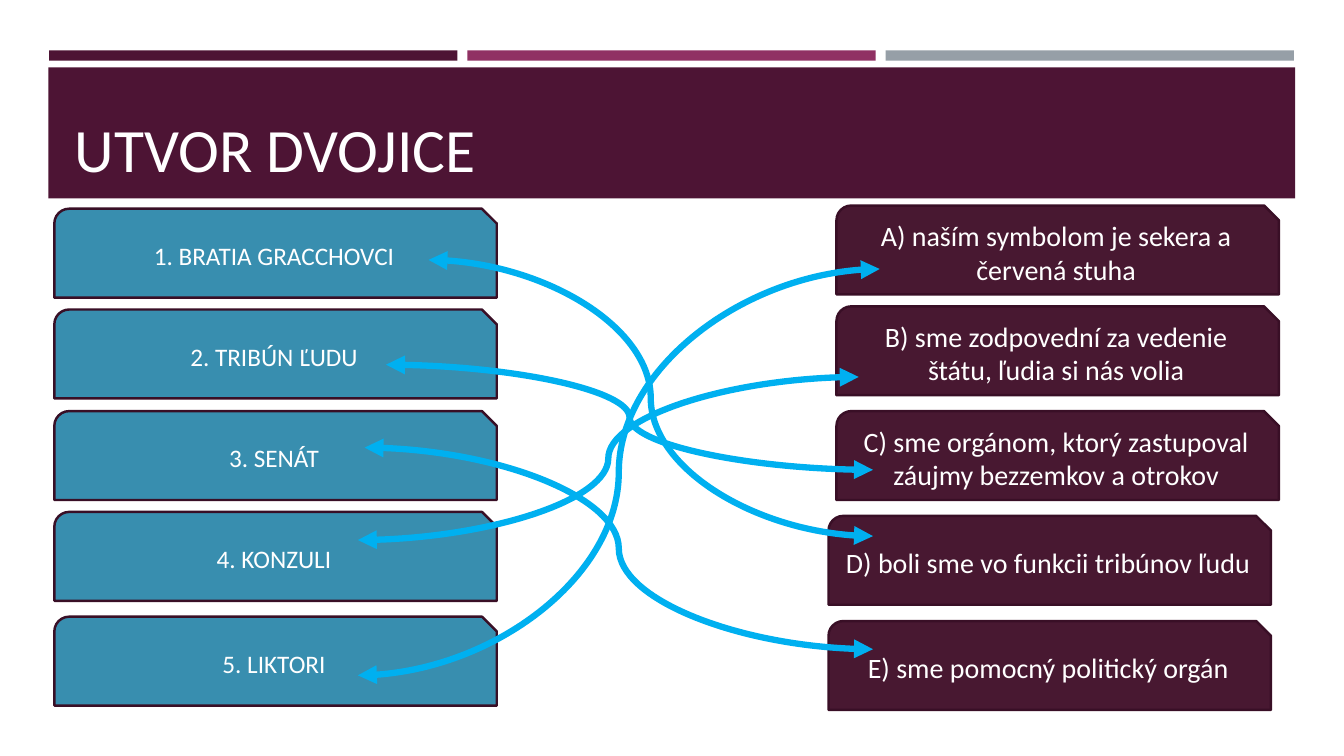
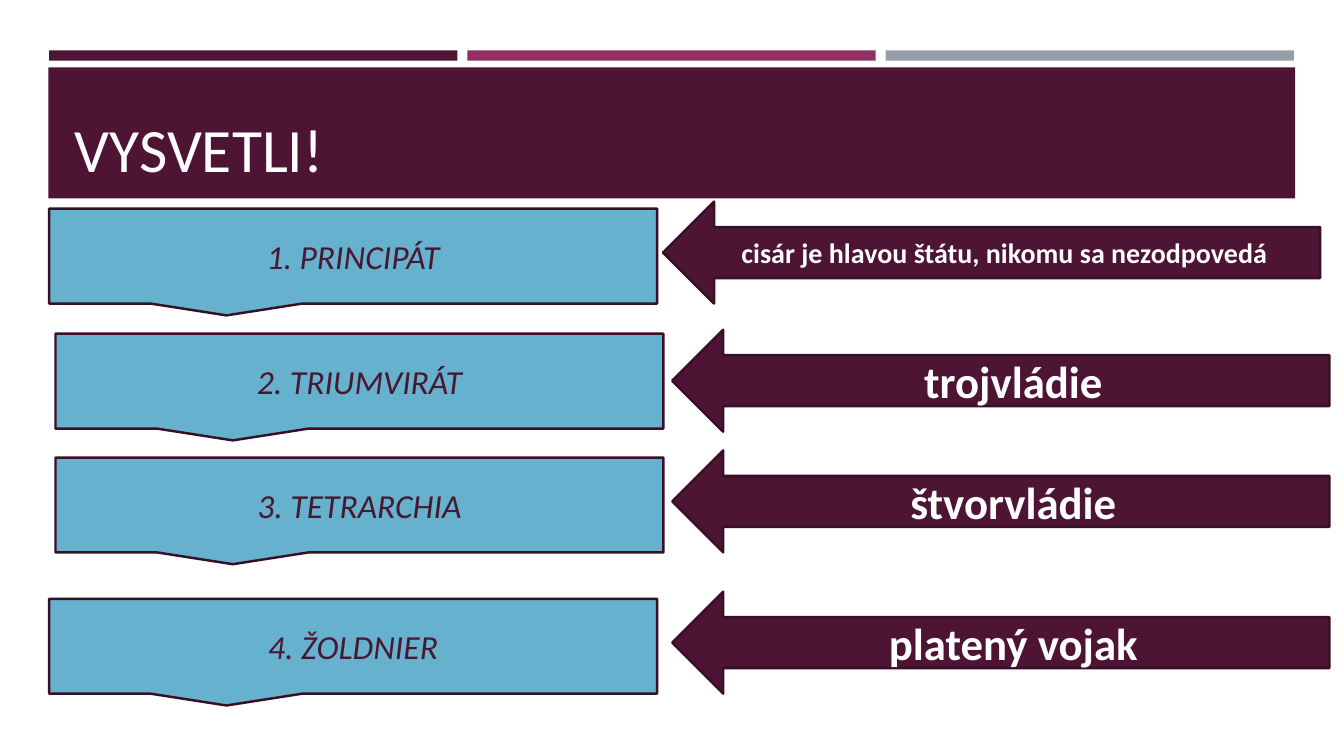
from dataclasses import dataclass
from lxml import etree
from pptx import Presentation
from pptx.dml.color import RGBColor
from pptx.enum.shapes import MSO_CONNECTOR as Link, MSO_SHAPE as Shape
from pptx.enum.text import MSO_ANCHOR as Anchor, MSO_AUTO_SIZE as AutoSize, PP_ALIGN as Align
from pptx.oxml.ns import qn
from pptx.util import Cm, Pt


@dataclass(frozen=True)
class Theme:
    font: str = "Calibri"
    plum: str = "4D1434"
    dark_plum: str = "481831"
    outline: str = "390F26"
    magenta: str = "903163"
    grey: str = "969FA7"
    teal: str = "388EAF"
    sky: str = "66B1CE"
    link: str = "00B0F0"
    white: str = "FFFFFF"
    title_size: int = 44
    term_size: int = 18
    clue_size: int = 20
    concept_size: int = 24
    meaning_size: int = 32
    outline_width: float = 1.75
    link_width: float = 4.5


THEME = Theme()

# Slide 1: text, left, top (cm)
TERMS = [
    ("1. BRATIA GRACCHOVCI", 1.37, 5.26),
    ("2. TRIBÚN ĽUDU", 1.37, 7.8),
    ("3. SENÁT", 1.37, 10.36),
    ("4. KONZULI", 1.37, 12.9),
    ("5. LIKTORI", 1.37, 15.54),
]
CLUES = [
    ("A) naším symbolom je sekera a červená stuha", 21.08, 5.18),
    ("B) sme zodpovední za vedenie štátu, ľudia si nás volia", 21.08, 7.72),
    ("C) sme orgánom, ktorý zastupoval záujmy bezzemkov a otrokov", 21.08, 10.36),
    ("D) boli sme vo funkcii tribúnov ľudu", 20.88, 13),
    ("E) sme pomocný politický orgán", 20.88, 15.65),
]
# Start x, y and end x, y (cm)
PAIRS = [
    (10.8, 6.55, 22, 13.51),
    (9.73, 9.19, 22, 11.84),
    (9.19, 11.28, 22, 16.36),
    (9.02, 13.61, 21.64, 9.5),
    (9.02, 17.02, 22.17, 6.78),
]

# Slide 2: text, left, top (cm); meanings also carry a type size
CONCEPTS = [
    ("1. PRINCIPÁT", 1.24, 5.26),
    ("2. TRIUMVIRÁT", 1.4, 8.41),
    ("3. TETRARCHIA", 1.4, 11.53),
    ("4. ŽOLDNIER", 1.24, 15.09),
]
MEANINGS = [
    ("cisár je hlavou štátu, nikomu sa nezodpovedá", 16.71, 5.08, THEME.clue_size),
    ("trojvládie", 16.94, 8.31, THEME.meaning_size),
    ("štvorvládie", 16.94, 11.35, THEME.meaning_size),
    ("platený vojak", 16.94, 14.91, THEME.meaning_size),
]


def rgb(value):
    return RGBColor.from_string(value)


def format_text(tf, text, size, color, align, anchor, bold=False, italic=False):
    tf.text = text
    tf.word_wrap = True
    tf.vertical_anchor = anchor
    p = tf.paragraphs[0]
    p.alignment = align
    font = p.font
    font.name, font.size, font.color.rgb = THEME.font, Pt(size), rgb(color)
    font.bold, font.italic = bold, italic


def add_block(s, kind, left, top, width, height, fill, outlined=False):
    sp = s.shapes.add_shape(kind, Cm(left), Cm(top), Cm(width), Cm(height))
    sp.shadow.inherit = False
    sp.fill.solid()
    sp.fill.fore_color.rgb = rgb(fill)
    if outlined:
        sp.line.color.rgb = rgb(THEME.outline)
        sp.line.width = Pt(THEME.outline_width)
    else:
        sp.line.fill.background()
    return sp


def add_label(s, kind, box, fill, text, size, color=THEME.white, **style):
    sp = add_block(s, kind, *box, fill, outlined=True)
    format_text(sp.text_frame, text, size, color, Align.CENTER, Anchor.MIDDLE, **style)


def add_curve(s, x1, y1, x2, y2):
    cx = s.shapes.add_connector(Link.CURVE, Cm(x1), Cm(y1), Cm(x2), Cm(y2))
    cx.line.color.rgb = rgb(THEME.link)
    cx.line.width = Pt(THEME.link_width)
    ln = cx.line._get_or_add_ln()
    for end in ("a:headEnd", "a:tailEnd"):
        etree.SubElement(ln, qn(end), type="triangle")
    etree.SubElement(cx._element.spPr, qn("a:effectLst"))


def add_titled_slide(prs, title):
    s = prs.slides.add_slide(prs.slide_layouts[5])
    # Three accent bars above the title band
    for i, color in enumerate((THEME.plum, THEME.magenta, THEME.grey)):
        add_block(s, Shape.RECTANGLE, 1.24 + i * 10.54, 1.27, 10.29, 0.26, color)
    add_block(s, Shape.RECTANGLE, 1.22, 1.7, 31.42, 3.3, THEME.plum)
    # Title goes in front of its band
    sp = s.shapes.title
    s.shapes._spTree.append(sp._element)
    sp.left, sp.top, sp.width, sp.height = Cm(1.63), Cm(1.96), Cm(30.63), Cm(2.82)
    format_text(sp.text_frame, title, THEME.title_size, THEME.white, Align.LEFT, Anchor.BOTTOM)
    sp.text_frame.auto_size = AutoSize.NONE
    return s


def build_pairs(prs):
    s = add_titled_slide(prs, "UTVOR DVOJICE")
    columns = ((TERMS, THEME.teal, THEME.term_size),
               (CLUES, THEME.dark_plum, THEME.clue_size))
    for items, fill, size in columns:
        for text, left, top in items:
            add_label(s, Shape.SNIP_ROUND_RECTANGLE, (left, top, 11.15, 2.24), fill, text, size)
    for ends in PAIRS:
        add_curve(s, *ends)


def build_concepts(prs):
    s = add_titled_slide(prs, "VYSVETLI!")
    for text, left, top in CONCEPTS:
        add_label(s, Shape.RECTANGULAR_CALLOUT, (left, top, 15.32, 2.39), THEME.sky,
                  text, THEME.concept_size, THEME.dark_plum, italic=True)
    for text, left, top, size in MEANINGS:
        add_label(s, Shape.LEFT_ARROW, (left, top, 16.56, 2.57), THEME.plum,
                  text, size, bold=True)


def main():
    prs = Presentation()
    prs.slide_width, prs.slide_height = Cm(33.87), Cm(19.05)
    build_pairs(prs)
    build_concepts(prs)
    prs.save("out.pptx")


if __name__ == "__main__":
    main()
